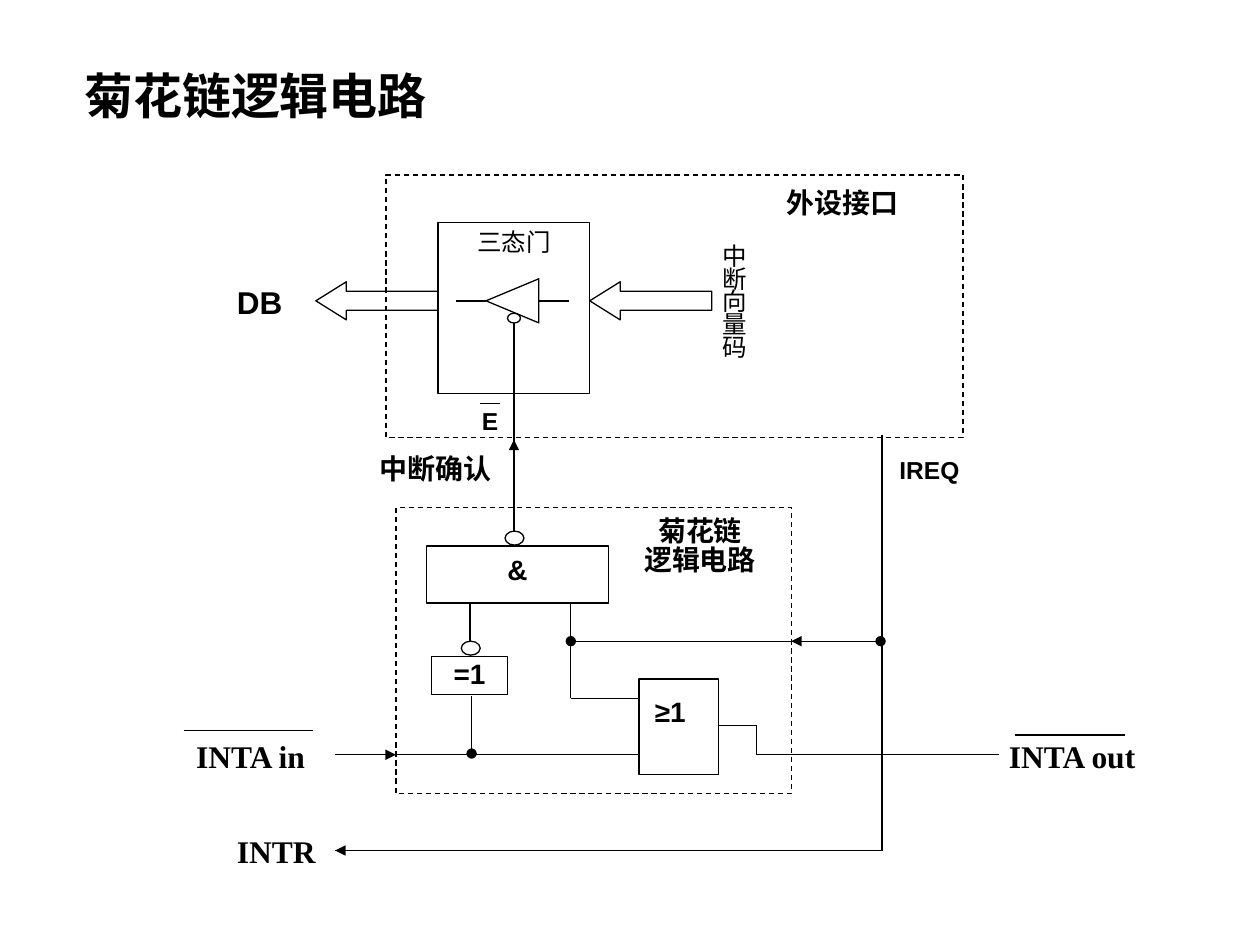
from dataclasses import dataclass

from lxml.etree import SubElement
from pptx import Presentation
from pptx.dml.color import RGBColor
from pptx.enum.dml import MSO_LINE
from pptx.enum.shapes import MSO_CONNECTOR, MSO_SHAPE as SHAPE
from pptx.enum.text import MSO_ANCHOR, PP_ALIGN as ALIGN
from pptx.oxml.ns import qn
from pptx.util import Pt


@dataclass(frozen=True)
class Theme:
    ink: RGBColor = RGBColor(0, 0, 0)
    sans: str = "Arial"
    serif: str = "Times New Roman"
    cjk: str = "Noto Sans CJK SC"
    line: float = 0.75
    title: int = 28
    signal: int = 18
    block: int = 16
    small: int = 14


class Diagram:
    def __init__(self, slide, theme):
        self.slide = slide
        self.theme = theme

    def set_text(self, shape, text, size, font, bold=True, align=ALIGN.CENTER,
                 insets=(0, 0, 0, 0), spacing=None, before=0):
        """Fill a shape with one paragraph per line; insets run left, top, right, bottom."""
        tf = shape.text_frame
        tf.word_wrap = True
        tf.vertical_anchor = MSO_ANCHOR.TOP
        tf.margin_left, tf.margin_top, tf.margin_right, tf.margin_bottom = map(Pt, insets)
        for i, line in enumerate(text.split("\n")):
            p = tf.paragraphs[0] if i == 0 else tf.add_paragraph()
            p.alignment = align
            if spacing:
                p.line_spacing = spacing
            if i:
                p.space_before = Pt(before)
            r = p.add_run()
            r.text = line
            f = r.font
            f.name, f.size, f.bold = font, Pt(size), bold
            f.color.rgb = self.theme.ink
            SubElement(r._r.get_or_add_rPr(), qn("a:ea")).set("typeface", self.theme.cjk)

    def label(self, x, y, w, h, text, size, font, **style):
        box = self.slide.shapes.add_textbox(Pt(x), Pt(y), Pt(w), Pt(h))
        self.set_text(box, text, size, font, **style)

    def outline(self, kind, x, y, w, h, dashed=False, rotation=0):
        s = self.slide.shapes.add_shape(kind, Pt(x), Pt(y), Pt(w), Pt(h))
        s.shadow.inherit = False
        s.fill.background()
        s.line.color.rgb = self.theme.ink
        s.line.width = Pt(self.theme.line)
        s.rotation = rotation
        if dashed:
            s.line.dash_style = MSO_LINE.DASH
        return s

    def block(self, x, y, w, h, text, **style):
        s = self.outline(SHAPE.RECTANGLE, x, y, w, h)
        self.set_text(s, text, self.theme.block, self.theme.sans, **style)

    def bubble(self, cx, cy, w, h):
        """Inversion circle centred on a signal line."""
        self.outline(SHAPE.FLOWCHART_CONNECTOR, cx - w / 2, cy - h / 2, w, h)

    def bus_arrow(self, x, y):
        s = self.outline(SHAPE.LEFT_ARROW, x, y, 69.8, 21.8)
        s.adjustments[0], s.adjustments[1] = 0.5, 0.8

    def wire(self, x1, y1, x2, y2, head=None, tail=None):
        c = self.slide.shapes.add_connector(
            MSO_CONNECTOR.STRAIGHT, Pt(x1), Pt(y1), Pt(x2), Pt(y2))
        c.line.color.rgb = self.theme.ink
        c.line.width = Pt(self.theme.line)
        ln = c._element.spPr.find(qn("a:ln"))
        for tag, end in (("a:headEnd", head), ("a:tailEnd", tail)):
            if end:
                SubElement(ln, qn(tag)).set("type", end)
        SubElement(c._element.spPr, qn("a:effectLst"))


def draw_interface(d):
    t = d.theme
    d.outline(SHAPE.RECTANGLE, 220.5, 100, 329.8, 150, dashed=True)
    d.label(429, 106, 104.5, 21.5, "外设接口", t.block, t.serif)
    d.outline(SHAPE.RECTANGLE, 250.3, 127.2, 86.7, 97.7)
    d.label(267.8, 129.5, 52, 22, "三态门", t.small, t.serif, bold=False)
    d.outline(SHAPE.FLOWCHART_MERGE, 280.2, 156.8, 25.2, 30.2, rotation=90)
    for x in (260.6, 308):
        d.wire(x, 172, x + 17.4, 172)
    d.bubble(293.7, 181.8, 7.4, 5.6)
    for x in (180.5, 337):
        d.bus_arrow(x, 161)
    d.label(121.7, 162, 52, 21.5, "DB", t.signal, t.sans, insets=(1.5, 0, 0, 0))
    d.label(401.8, 141.8, 34.6, 65, "中\n断\n向\n量\n码", t.small, t.serif,
            bold=False, spacing=0.72, before=1, insets=(1.5, 0, 0, 0))
    d.label(271.4, 232, 17.3, 16, "E", t.small, t.sans)
    d.wire(274.5, 230.4, 286, 230.4)


def draw_chain_logic(d):
    t = d.theme
    d.outline(SHAPE.RECTANGLE, 226.2, 290, 226, 163.5, dashed=True)
    d.label(359.3, 297.4, 80, 29.5, "菊花链\n逻辑电路", t.block, t.serif,
            spacing=0.8, before=1, insets=(1.5, 0, 0, 0))
    d.block(243.6, 312, 104.2, 32.6, "&", insets=(7.2, 3.6, 7.2, 3.6))
    d.block(246.5, 375, 43.6, 21.8, "=1")
    d.block(365.2, 388, 45.3, 54.4, "≥1", align=ALIGN.LEFT, insets=(9, 9, 0, 0))
    d.bubble(294, 307.5, 10.8, 8)
    d.bubble(269, 370.4, 10.8, 8)


def draw_wires(d):
    for points in (
        (293.7, 184.6, 293.7, 303.4),
        (268.6, 344.6, 268.6, 366.4),
        (326.2, 344.6, 326.2, 399),
        (326.2, 399, 365.2, 399),
        (191.5, 431.3, 365.2, 431.3),
        (410.5, 414.4, 432.2, 414.4),
        (432.2, 414.4, 432.2, 431.3),
        (432.2, 431.3, 571, 431.3),
        (504, 248.5, 504, 486.5),
        (504, 486, 191.5, 486),
    ):
        d.wire(*points)
    d.wire(326.2, 366.4, 503.2, 366.4, head="oval", tail="oval")
    d.wire(269.5, 398, 269.5, 430.6, tail="oval")
    for points in (
        (208, 431.3, 226.2, 431.3),
        (469.5, 366.4, 452.2, 366.4),
        (208.8, 486, 191.5, 486),
        (293.7, 262, 293.7, 251.3),
    ):
        d.wire(*points, tail="triangle")


def draw_signal_names(d):
    t = d.theme
    left = ALIGN.LEFT
    d.label(206.6, 257.8, 74.2, 24, "中断确认", t.block, t.serif, align=ALIGN.RIGHT)
    d.label(514, 256.3, 52, 21.6, "IREQ", t.small, t.sans, align=left,
            insets=(0, 3.6, 0, 3.6))
    d.label(135.4, 475.5, 49, 16, "INTR", t.signal, t.serif, align=left)
    padding = (7.2, 3.6, 7.2, 3.6)
    d.label(105, 417.8, 79.5, 28.8, "INTA in", t.signal, t.serif, align=left, insets=padding)
    d.label(569.5, 417.8, 139, 28.8, "INTA out", t.signal, t.serif, align=left, insets=padding)
    d.wire(105, 417.5, 178.6, 417.5)
    d.wire(580.3, 420, 643, 420)


def main():
    prs = Presentation()
    prs.slide_width, prs.slide_height = Pt(720), Pt(540)
    d = Diagram(prs.slides.add_slide(prs.slide_layouts[6]), Theme())
    d.label(48.2, 37.4, 221, 34, "菊花链逻辑电路", d.theme.title, d.theme.sans, align=ALIGN.LEFT)
    draw_interface(d)
    draw_chain_logic(d)
    draw_wires(d)
    draw_signal_names(d)
    prs.save("out.pptx")


if __name__ == "__main__":
    main()
